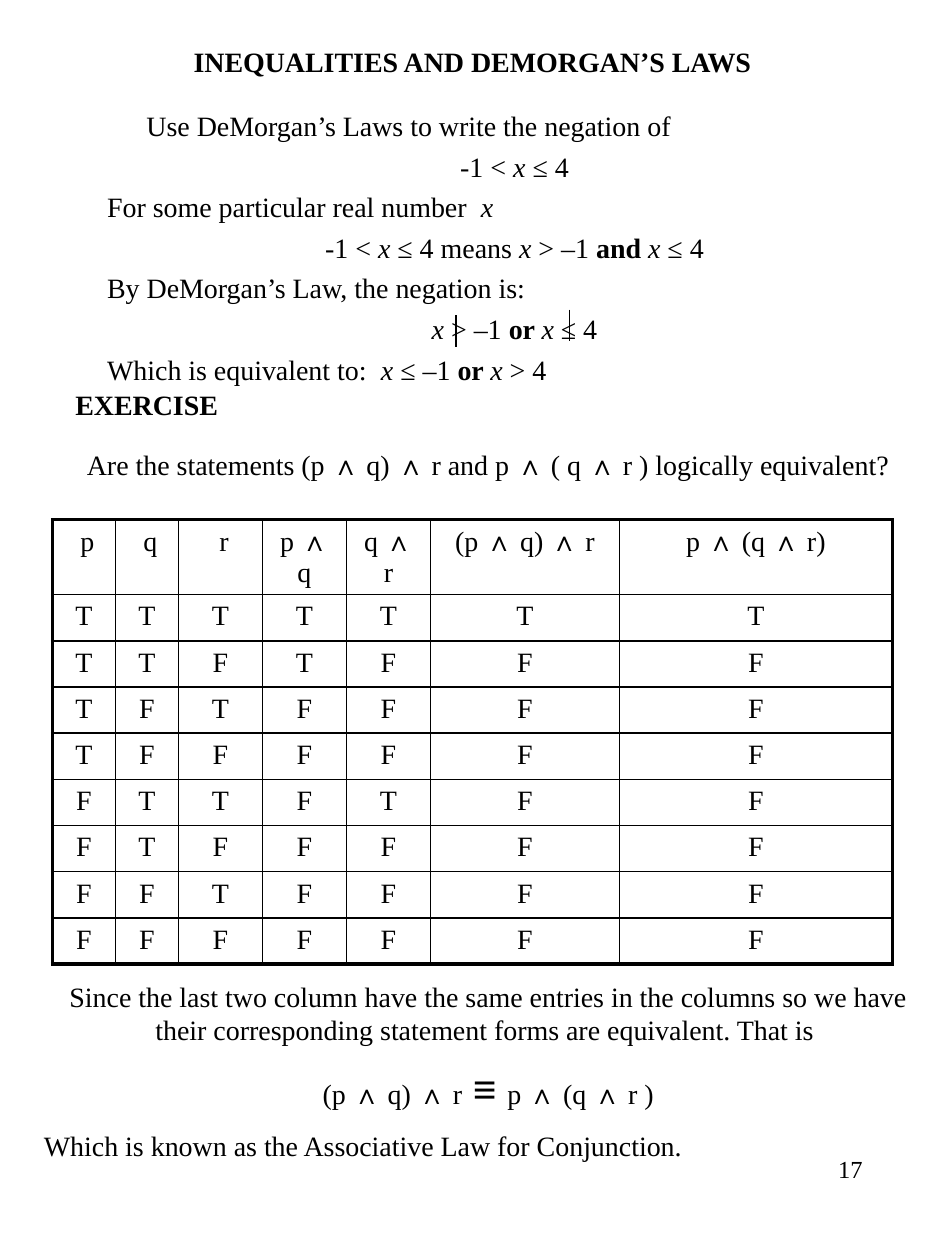
from itertools import product

from lxml import etree
from pptx import Presentation
from pptx.dml.color import RGBColor
from pptx.enum.shapes import MSO_CONNECTOR
from pptx.enum.text import MSO_ANCHOR, MSO_AUTO_SIZE, PP_ALIGN
from pptx.oxml.ns import qn
from pptx.util import Pt

LEFT, CENTER, RIGHT = PP_ALIGN.LEFT, PP_ALIGN.CENTER, PP_ALIGN.RIGHT
TOP, MIDDLE = MSO_ANCHOR.TOP, MSO_ANCHOR.MIDDLE
STRAIGHT = MSO_CONNECTOR.STRAIGHT
NO_FIT = MSO_AUTO_SIZE.NONE

THEME = {
    "font": "Times New Roman", "ink": "000000",
    "text": 16, "symbol": 24, "page": 14,
    "outer": 2.25, "inner": 1, "stroke": 0.75,
}
PLAIN, BOLD, ITALIC = {}, {"bold": True}, {"italic": True}
LARGE = {"size": Pt(THEME["symbol"])}

# Each paragraph is (alignment, [(text, format), ...]).
X = ("x", ITALIC)
TITLE = [(CENTER, [("INEQUALITIES AND DEMORGAN’S LAWS", BOLD)])]
NEGATION = [
    (LEFT, [("\tUse DeMorgan’s Laws to write the negation of", PLAIN)]),
    (CENTER, [("-1 < ", PLAIN), ("x ", ITALIC), ("≤ 4", PLAIN)]),
    (LEFT, [("For some particular real number  ", PLAIN), X]),
    (CENTER, [("-1 < ", PLAIN), ("x ", ITALIC), ("≤ 4 means ", PLAIN), X,
              (" > –1 ", PLAIN), ("and ", BOLD), X, (" ≤ 4", PLAIN)]),
    (LEFT, [("By DeMorgan’s Law, the negation is:", PLAIN)]),
    (CENTER, [X, (" > –1 ", PLAIN), ("or ", BOLD), ("x ", ITALIC), ("≤ 4", PLAIN)]),
    (LEFT, [("Which is equivalent to:  ", PLAIN), X, (" ≤ –1 ", PLAIN),
            ("or ", BOLD), X, (" > 4", PLAIN)]),
]
NEGATION_STROKES = [(260.6, 180), (325.4, 177)]
STROKE_LENGTH = 18
EXERCISE = [(LEFT, [("\tEXERCISE", BOLD)])]
QUESTION = [(CENTER, [
    ("Are the statements (p ∧ q) ∧ r and p ∧ ( q ∧ r ) logically equivalent?", PLAIN)])]
CONCLUSION = [
    (CENTER, [("Since the last two column have the same entries in the columns so we have "
               "their corresponding statement forms are equivalent. That is ", PLAIN)]),
    (CENTER, [("(p ∧ q) ∧ r", PLAIN), (" ", LARGE), ("≡ ", {**LARGE, **BOLD}),
              ("p ∧ (q ∧ r )", PLAIN)]),
    (LEFT, [("Which is known as the Associative Law for Conjunction.", PLAIN)]),
]
PAGE_NUMBER = [(RIGHT, [("17", {"size": Pt(THEME["page"])})])]

# Truth table: heading, column width, value for given p, q, r
COLUMNS = [
    (" p", 36, lambda p, q, r: p),
    (" q", 36, lambda p, q, r: q),
    (" r", 48, lambda p, q, r: r),
    ("p ∧ q", 48, lambda p, q, r: p and q),
    ("q ∧ r", 48, lambda p, q, r: q and r),
    ("(p ∧ q) ∧ r", 108, lambda p, q, r: (p and q) and r),
    ("p ∧ (q ∧ r)", 156, lambda p, q, r: p and (q and r)),
]
TABLE_LEFT, TABLE_TOP, ROW_HEIGHT = 30, 297, 26.4


def write(frame, paragraphs, space_before=0, anchor=TOP):
    frame.word_wrap = True
    frame.auto_size = NO_FIT
    frame.vertical_anchor = anchor
    for index, (alignment, spans) in enumerate(paragraphs):
        para = frame.paragraphs[0] if index == 0 else frame.add_paragraph()
        para.alignment = alignment
        para.space_before = Pt(space_before)
        for text, changes in spans:
            span = para.add_run()
            span.text = text
            span.font.color.rgb = RGBColor.from_string(THEME["ink"])
            values = {"name": THEME["font"], "size": Pt(THEME["text"]),
                      "bold": False, "italic": False, **changes}
            for name, value in values.items():
                setattr(span.font, name, value)


def place(shape, left, top, width, height):
    for name, value in zip(("left", "top", "width", "height"), (left, top, width, height)):
        setattr(shape, name, Pt(value))


def add_text(slide, bounds, paragraphs, **layout):
    box = slide.shapes.add_textbox(*map(Pt, bounds))
    write(box.text_frame, paragraphs, **layout)


def indent_body(frame):
    """Give the body paragraphs a hanging indent without bullets."""
    for para in frame.paragraphs:
        para.level = 1
        properties = para._p.get_or_add_pPr()
        properties.set("marL", str(Pt(58.5)))
        properties.set("indent", str(Pt(-22.5)))
        etree.SubElement(properties, qn("a:buNone"))


def add_stroke(slide, x, top):
    line = slide.shapes.add_connector(STRAIGHT, Pt(x), Pt(top), Pt(x), Pt(top + STROKE_LENGTH))
    line.line.color.rgb = RGBColor.from_string(THEME["ink"])
    line.line.width = Pt(THEME["stroke"])
    etree.SubElement(line._element.spPr, qn("a:effectLst"))


def set_borders(cell, outer_sides):
    properties = cell._tc.get_or_add_tcPr()
    for side in "LRTB":
        width = THEME["outer" if side in outer_sides else "inner"]
        border = etree.SubElement(properties, qn(f"a:ln{side}"), w=str(Pt(width)))
        fill = etree.SubElement(border, qn("a:solidFill"))
        etree.SubElement(fill, qn("a:srgbClr"), val=THEME["ink"])


def add_truth_table(slide):
    rows = [[heading for heading, _, _ in COLUMNS]]
    for values in product((True, False), repeat=3):
        rows.append(["T" if rule(*values) else "F" for _, _, rule in COLUMNS])
    width = sum(column_width for _, column_width, _ in COLUMNS)
    table = slide.shapes.add_table(
        len(rows), len(COLUMNS), Pt(TABLE_LEFT), Pt(TABLE_TOP),
        Pt(width), Pt(ROW_HEIGHT * len(rows))).table
    table.first_row = table.horz_banding = False
    for column, (_, column_width, _) in zip(table.columns, COLUMNS):
        column.width = Pt(column_width)
    for row_index, row in enumerate(rows):
        table.rows[row_index].height = Pt(ROW_HEIGHT)
        for column_index, text in enumerate(row):
            cell = table.cell(row_index, column_index)
            write(cell.text_frame, [(CENTER, [(text, PLAIN)])])
            edges = {"L": column_index == 0, "R": column_index == len(COLUMNS) - 1,
                     "T": row_index == 0, "B": row_index == len(rows) - 1}
            set_borders(cell, [side for side, is_outer in edges.items() if is_outer])
            cell.fill.background()


def main():
    deck = Presentation()
    deck.slide_width, deck.slide_height = Pt(540), Pt(720)
    slide = deck.slides.add_slide(deck.slide_layouts[1])
    title, body = slide.placeholders

    place(title, 40.5, 16, 459, 38)
    write(title.text_frame, TITLE, anchor=MIDDLE)
    place(body, 18, 58.5, 516, 188)
    write(body.text_frame, NEGATION, space_before=4)
    indent_body(body.text_frame)
    for x, top in NEGATION_STROKES:
        add_stroke(slide, x, top)

    add_text(slide, (0, 216, 540, 30), EXERCISE, anchor=MIDDLE)
    add_text(slide, (18, 252, 522, 26.6), QUESTION, space_before=9)
    add_truth_table(slide)
    add_text(slide, (18, 556, 522, 118), CONCLUSION, space_before=9)
    add_text(slide, (387.5, 656, 112.5, 48), PAGE_NUMBER)
    deck.save("out.pptx")


if __name__ == "__main__":
    main()
